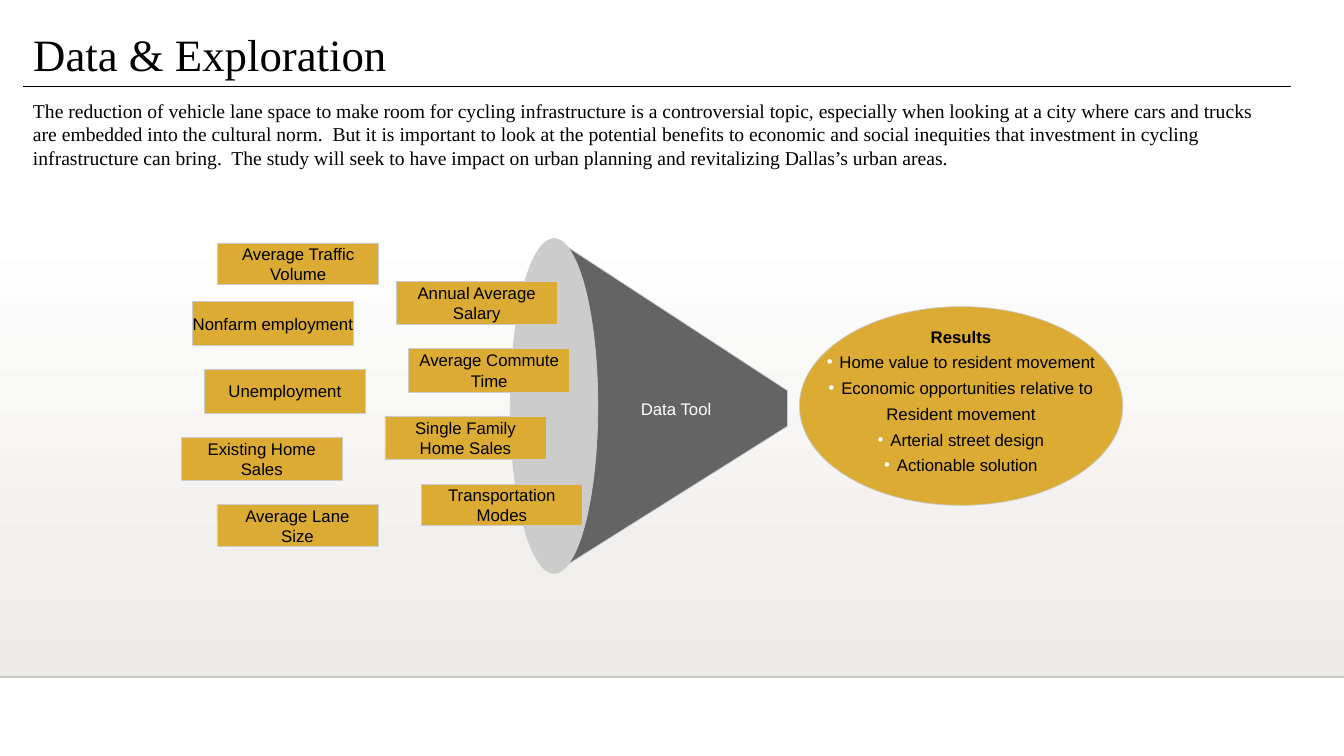
"""Build the Data & Exploration slide: inputs flow through a funnel to results."""
from lxml.etree import SubElement
from pptx import Presentation
from pptx.dml.color import RGBColor
from pptx.enum.shapes import MSO_CONNECTOR, MSO_SHAPE
from pptx.enum.text import MSO_ANCHOR, MSO_AUTO_SIZE, PP_ALIGN
from pptx.oxml.ns import qn
from pptx.util import Pt

BLACK = RGBColor(0x00, 0x00, 0x00)
WHITE = RGBColor(0xFF, 0xFF, 0xFF)
GOLD = RGBColor(0xDC, 0xAB, 0x34)
SILVER = RGBColor(0xCC, 0xCC, 0xCC)
CHARCOAL = RGBColor(0x64, 0x64, 0x64)
SAND = RGBColor(0xED, 0xEB, 0xE7)
FLOOR_GRAY = RGBColor(0xC8, 0xC8, 0xC2)
SERIF, SANS = "Times New Roman", "Arial"


def paint(shape, color):
    shape.shadow.inherit = False
    shape.fill.solid()
    shape.fill.fore_color.rgb = color
    shape.line.color.rgb = SILVER
    shape.line.width = Pt(0.5)


def add_text(paragraph, text, font, size, color=BLACK, bold=False):
    run = paragraph.add_run()
    run.text = text
    run.font.name = font
    run.font.size = Pt(size)
    run.font.color.rgb = color
    run.font.bold = bold


prs = Presentation()
prs.slide_width, prs.slide_height = Pt(960), Pt(540)
slide = prs.slides.add_slide(prs.slide_layouts[5])
shapes = slide.shapes

backdrop = shapes.add_shape(MSO_SHAPE.RECTANGLE, 0, Pt(158.4), Pt(960), Pt(325))
backdrop.shadow.inherit = False
backdrop.line.fill.background()
backdrop.fill.gradient()
backdrop.fill.gradient_angle = 270
for stop, color in zip(backdrop.fill.gradient_stops, (WHITE, SAND)):
    stop.color.rgb = color

rules = [(0, 960, 483.7, FLOOR_GRAY, 1), (16.5, 922.5, 62, BLACK, 0.75)]
for start, end, y, color, weight in rules:
    rule = shapes.add_connector(MSO_CONNECTOR.STRAIGHT, Pt(start), Pt(y), Pt(end), Pt(y))
    rule.line.color.rgb = color
    rule.line.width = Pt(weight)
    SubElement(rule._element.spPr, qn("a:effectLst"))

title = shapes.title
title.left, title.top, title.width, title.height = Pt(16.5), Pt(9.5), Pt(763), Pt(52)
title.text_frame.vertical_anchor = MSO_ANCHOR.BOTTOM
title.text_frame.auto_size = MSO_AUTO_SIZE.NONE
heading = title.text_frame.paragraphs[0]
heading.alignment = PP_ALIGN.LEFT
heading.line_spacing = 0.9
add_text(heading, "Data & Exploration", SERIF, 32)

intro = shapes.add_textbox(Pt(16.5), Pt(67), Pt(906), Pt(58)).text_frame
intro.word_wrap = True
add_text(
    intro.paragraphs[0],
    "The reduction of vehicle lane space to make room for cycling infrastructure is a "
    "controversial topic, especially when looking at a city where cars and trucks are "
    "embedded into the cultural norm.  But it is important to look at the potential "
    "benefits to economic and social inequities that investment in cycling "
    "infrastructure can bring.  The study will seek to have impact on urban planning "
    "and revitalizing Dallas’s urban areas.",
    SERIF, 14)

results_oval = shapes.add_shape(MSO_SHAPE.OVAL, Pt(571), Pt(219), Pt(231), Pt(142))
paint(results_oval, GOLD)

results = shapes.add_textbox(Pt(586.5), Pt(229), Pt(200), Pt(114.5)).text_frame
results.word_wrap = False
results.vertical_anchor = MSO_ANCHOR.MIDDLE
results.margin_left = results.margin_right = Pt(3.6)
results_lines = [
    ("Results", True, False),
    ("Home value to resident movement", False, True),
    ("Economic opportunities relative to", False, True),
    ("Resident movement", False, False),
    ("Arterial street design", False, True),
    ("Actionable solution", False, True),
]
for index, (text, bold, bulleted) in enumerate(results_lines):
    finding = results.add_paragraph() if index else results.paragraphs[0]
    finding.alignment = PP_ALIGN.CENTER
    finding.space_before = Pt(4)
    add_text(finding, text, SANS, 12, bold=bold)
    if bulleted or bold:
        properties = finding._p.get_or_add_pPr()
        properties.set("marL", str(Pt(9)))
        properties.set("indent", str(-Pt(9)))
    if bulleted:
        bullet_color = SubElement(properties, qn("a:buClr"))
        SubElement(bullet_color, qn("a:srgbClr"), val=str(WHITE))
        SubElement(properties, qn("a:buFont"), typeface=SANS)
        SubElement(properties, qn("a:buChar"), char="•")

outline = shapes.build_freeform(Pt(395.5), Pt(170))
outline.add_line_segments(
    [(Pt(562.5), Pt(279)), (Pt(562.5), Pt(304.5)), (Pt(395.5), Pt(409.5))], close=True)
paint(outline.convert_to_shape(), CHARCOAL)
funnel_mouth = shapes.add_shape(MSO_SHAPE.OVAL, Pt(364.5), Pt(170.5), Pt(62.5), Pt(239))
paint(funnel_mouth, SILVER)

inputs = [
    (283, 201, 31, ["Annual Average", "Salary"]),
    (292, 249, 31, ["Average Commute", "Time"]),
    (275, 297.5, 31, ["Single Family", "Home Sales"]),
    (301, 346, 29.5, ["Transportation", "Modes"]),
    (155.5, 173.5, 29.5, ["Average Traffic", "Volume"]),
    (137.5, 215.5, 31, ["Nonfarm employment"]),
    (146, 264, 31, ["Unemployment"]),
    (129.5, 312.5, 31, ["Existing Home", "Sales"]),
    (155, 360.5, 29.5, ["Average Lane", "Size"]),
]
for left, top, height, lines in inputs:
    card = shapes.add_shape(MSO_SHAPE.RECTANGLE, Pt(left), Pt(top), Pt(115), Pt(height))
    paint(card, GOLD)
    label = card.text_frame
    label.word_wrap = False
    label.vertical_anchor = MSO_ANCHOR.MIDDLE
    label.margin_left = label.margin_right = label.margin_top = label.margin_bottom = 0
    for index, text in enumerate(lines):
        line = label.add_paragraph() if index else label.paragraphs[0]
        line.alignment = PP_ALIGN.CENTER
        add_text(line, text, SANS, 12)

tool = shapes.add_textbox(Pt(448.5), Pt(281), Pt(69), Pt(21.5)).text_frame
tool.word_wrap = False
tool.vertical_anchor = MSO_ANCHOR.MIDDLE
tool.margin_left = tool.margin_right = Pt(3.6)
tool.paragraphs[0].alignment = PP_ALIGN.CENTER
add_text(tool.paragraphs[0], "Data Tool", SANS, 12, WHITE)

prs.save("out.pptx")
